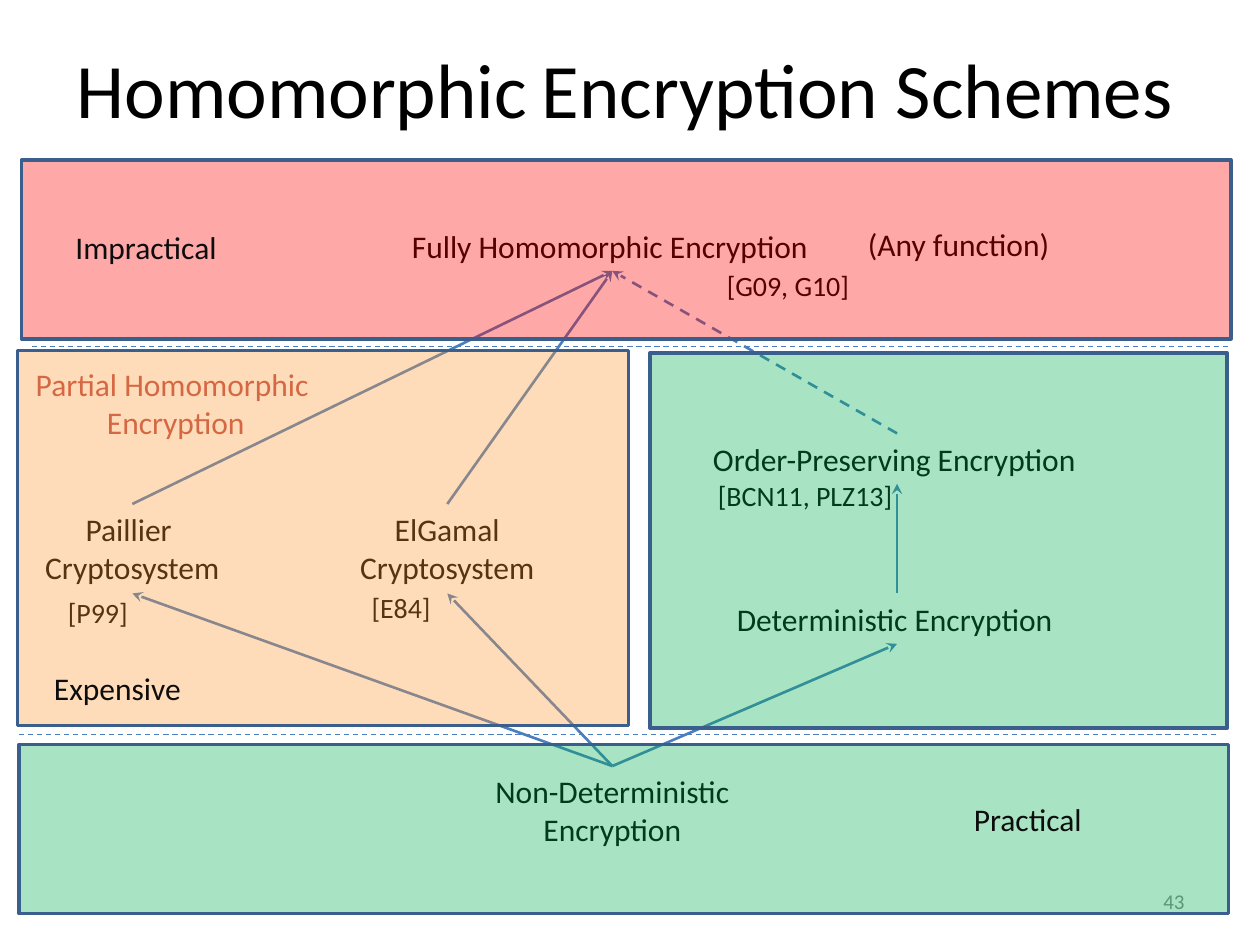
import pptx
import pptx.dml.color
import pptx.enum.dml
import pptx.enum.shapes
import pptx.enum.text
import pptx.oxml.ns
import pptx.util
from lxml import etree

Inches = pptx.util.Inches
Pt = pptx.util.Pt
RGBColor = pptx.dml.color.RGBColor
Align = pptx.enum.text.PP_ALIGN
Anchor = pptx.enum.text.MSO_ANCHOR
qn = pptx.oxml.ns.qn

BLACK = RGBColor(0x00, 0x00, 0x00)
NEAR_BLACK = RGBColor(0x0D, 0x0D, 0x0D)
GREY = RGBColor(0x8C, 0x8C, 0x8C)
BRICK = RGBColor(0xC0, 0x50, 0x4D)
BLUE = RGBColor(0x4B, 0x7E, 0xBC)
DARK_BLUE = RGBColor(0x3A, 0x5F, 0x8C)
GREEN = RGBColor(0x00, 0xB0, 0x50)
ORANGE = RGBColor(0xFF, 0x99, 0x33)
RED = RGBColor(0xFF, 0x00, 0x00)

TOP, LEFT, BOTTOM = 0, 1, 2


class SchemeSlide:
    font = "Calibri"
    body_size = 18
    cite_size = 16
    opacity = 34

    def __init__(self, deck):
        self.page = deck.slides.add_slide(deck.slide_layouts[5])

    def span(self, para, text, size, color):
        span = para.add_run()
        span.text = text
        span.font.name = self.font
        span.font.size = Pt(size)
        span.font.color.rgb = color

    def title(self, spans, left, top, width, height):
        box = self.page.shapes.title
        box.left, box.top = Inches(left), Inches(top)
        box.width, box.height = Inches(width), Inches(height)
        box.text_frame.vertical_anchor = Anchor.MIDDLE
        para = box.text_frame.paragraphs[0]
        para.alignment = Align.CENTER
        for text, size in spans:
            self.span(para, text, size, BLACK)

    def label(self, lines, left, top, width, height=0.4, size=body_size, color=BLACK):
        box = self.page.shapes.add_textbox(
            Inches(left), Inches(top), Inches(width), Inches(height))
        frame = box.text_frame
        frame.word_wrap = False
        frame.auto_size = pptx.enum.text.MSO_AUTO_SIZE.SHAPE_TO_FIT_TEXT
        para = frame.paragraphs[0]
        para.alignment = Align.CENTER if len(lines) > 1 else Align.LEFT
        for index, line in enumerate(lines):
            if index:
                para.add_line_break()
            self.span(para, line, size, color)
        return box

    def citation(self, text, left, top, width):
        self.label([text], left, top, width, 0.37, self.cite_size)

    def page_number(self, text, left, top, width, height):
        box = self.page.shapes.add_textbox(
            Inches(left), Inches(top), Inches(width), Inches(height))
        box.text_frame.word_wrap = True
        box.text_frame.vertical_anchor = Anchor.MIDDLE
        para = box.text_frame.paragraphs[0]
        para.alignment = Align.RIGHT
        self.span(para, text, 12, GREY)

    def line(self, start, end, weight, dashed):
        line = self.page.shapes.add_connector(
            pptx.enum.shapes.MSO_CONNECTOR.STRAIGHT,
            *(Inches(value) for value in (*start, *end)))
        line.line.color.rgb = BLUE
        line.line.width = Pt(weight)
        if dashed:
            line.line.dash_style = pptx.enum.dml.MSO_LINE.DASH
        etree.SubElement(line._element.spPr, qn("a:effectLst"))
        return line

    def divider(self, left, top, width):
        self.line((left, top), (left + width, top), 0.75, True)

    def arrow(self, source, target, dashed=False):
        arrow = self.line((0, 0), (1, 1), 1.5, dashed)
        arrow.begin_connect(source, TOP)
        arrow.end_connect(target, BOTTOM)
        outline = arrow._element.spPr.find(qn("a:ln"))
        etree.SubElement(outline, qn("a:tailEnd"), type="stealth")

    def zone(self, color, left, top, width, height):
        zone = self.page.shapes.add_shape(
            pptx.enum.shapes.MSO_SHAPE.RECTANGLE,
            Inches(left), Inches(top), Inches(width), Inches(height))
        zone.shadow.inherit = False
        zone.fill.solid()
        zone.fill.fore_color.rgb = color
        fill = zone._element.spPr.find(qn("a:solidFill"))
        etree.SubElement(fill[0], qn("a:alpha"), val=str(self.opacity * 1000))
        zone.line.color.rgb = DARK_BLUE
        zone.line.width = Pt(2)


def main():
    deck = pptx.Presentation()
    deck.slide_width, deck.slide_height = Inches(10), Inches(7.5)
    slide = SchemeSlide(deck)

    slide.title([("Homomorphic", 44), (" ", 36), ("Encryption Schemes", 44)],
                0.46, 0.07, 9, 1.25)

    full = slide.label(["Fully Homomorphic Encryption"], 3.17, 1.75, 3.38)
    order = slide.label(["Order-Preserving Encryption"], 5.56, 3.44, 3.12)
    deterministic = slide.label(["Deterministic Encryption"], 5.75, 4.71, 2.74)
    random = slide.label(["Non-Deterministic", "Encryption"], 3.82, 6.08, 2.08, 0.71)
    paillier = slide.label(["Paillier ", "Cryptosystem"], 0.25, 4, 1.6, 0.71)
    elgamal = slide.label(["ElGamal", "Cryptosystem"], 2.75, 4, 1.6, 0.71)

    for source, target in ((elgamal, full), (paillier, full), (random, paillier),
                           (random, elgamal), (random, deterministic),
                           (deterministic, order)):
        slide.arrow(source, target)
    slide.arrow(order, full, dashed=True)

    slide.label(["(Any function)"], 6.79, 1.74, 1.66)
    slide.page_number("43", 7.17, 6.95, 2.33, 0.4)

    slide.citation("[G09, G10]", 5.67, 2.08, 1.19)
    slide.citation("[P99]", 0.44, 4.68, 0.68)
    slide.citation("[E84]", 2.85, 4.64, 0.68)
    slide.citation("[BCN11, PLZ13]", 5.6, 3.75, 1.6)

    slide.divider(0.15, 5.83, 9.5)
    slide.divider(0.25, 2.75, 9.5)

    slide.label(["Partial Homomorphic ", "Encryption"], 0.17, 2.85, 2.45, 0.71,
                color=BRICK)
    slide.zone(GREEN, 5.16, 2.8, 4.58, 2.98)
    slide.zone(GREEN, 0.15, 5.91, 9.6, 1.34)
    slide.zone(ORANGE, 0.14, 2.78, 4.85, 2.98)
    slide.label(["Practical"], 7.63, 6.3, 1.09, color=NEAR_BLACK)
    slide.label(["Expensive"], 0.33, 5.26, 1.3, color=NEAR_BLACK)
    slide.zone(RED, 0.17, 1.27, 9.6, 1.42)
    slide.label(["Impractical"], 0.5, 1.76, 1.42, color=NEAR_BLACK)

    deck.save("out.pptx")


if __name__ == "__main__":
    main()
